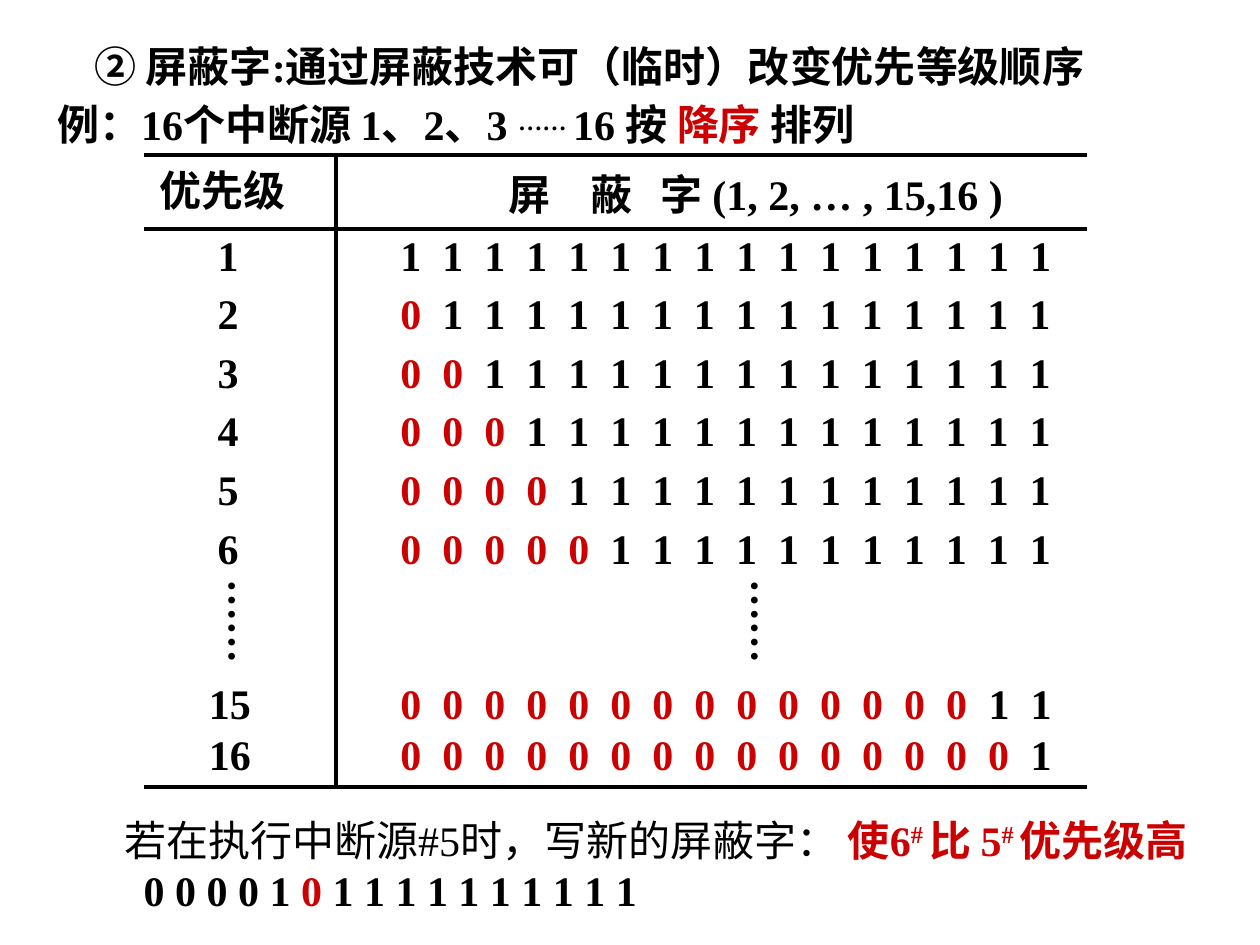
from pptx import Presentation
from pptx.dml.color import RGBColor
from pptx.enum.lang import MSO_LANGUAGE_ID
from pptx.enum.shapes import MSO_CONNECTOR
from pptx.enum.text import MSO_ANCHOR
from pptx.oxml.ns import qn
from pptx.util import Inches, Pt
from lxml.etree import SubElement

COLUMNS, ROWS = 100, 75
BLACK, RED = "000000", "CC0000"
SOURCES = 16


def color(value):
    return RGBColor.from_string(value)


class SlideWriter:
    font = "Times New Roman"
    size = 24
    line_width = 2.25

    def __init__(self, deck):
        self.slide = deck.slides.add_slide(deck.slide_layouts[6])
        self.column = deck.slide_width / COLUMNS
        self.row = deck.slide_height / ROWS

    def place(self, *lengths):
        return [round(length * unit) for length, unit
                in zip(lengths, (self.column, self.row) * 2)]

    def span(self, para, text, fill=BLACK, bold=True, raised=0, spacing=0):
        span = para.add_run()
        span.text = text
        font = span.font
        font.name, font.size, font.bold = self.font, Pt(self.size), bold
        font.language_id = MSO_LANGUAGE_ID.SIMPLIFIED_CHINESE
        font.color.rgb = color(fill)
        properties = span._r.get_or_add_rPr()
        if raised:
            properties.set("baseline", str(raised * 1000))
        if spacing:
            properties.set("spc", str(spacing * 100))

    def text(self, place, spans, inset=(0.1, 0.05), anchor=MSO_ANCHOR.TOP,
             wrap=False, vertical=False):
        box = self.slide.shapes.add_textbox(*self.place(*place))
        frame = box.text_frame
        frame.word_wrap = wrap
        frame.vertical_anchor = anchor
        frame.margin_left = frame.margin_right = Inches(inset[0])
        frame.margin_top = frame.margin_bottom = Inches(inset[1])
        if vertical:
            frame._txBody.bodyPr.set("vert", "eaVert")
        for options in spans:
            self.span(frame.paragraphs[0], **options)

    def caption(self, place, spans):
        self.text(place, spans, inset=(0, 0), anchor=MSO_ANCHOR.MIDDLE)

    def ellipsis(self, left, top):
        self.text((left, top, 6, 7.7), [dict(text="……")],
                  inset=(0.05, 0.1), vertical=True)

    def line(self, *ends):
        line = self.slide.shapes.add_connector(
            MSO_CONNECTOR.STRAIGHT, *self.place(*ends))
        line.line.color.rgb = color(BLACK)
        line.line.width = Pt(self.line_width)
        SubElement(line._element.spPr, qn("a:effectLst"))

    def mask_row(self, level, top):
        left, width = (16.3, 3.6) if level < 10 else (15.6, 5.3)
        self.text((left, top, width, 5), [dict(text=str(level))])
        zeros = " ".join("0" * (level - 1))
        ones = " ".join("1" * (SOURCES + 1 - level))
        spans = [dict(text=ones, spacing=3)]
        if zeros:
            spans = [dict(text=zeros, fill=RED, spacing=3),
                     dict(text=" " + ones, spacing=3)]
        self.text((30.8, top, 55.5, 5), spans)


def main():
    deck = Presentation()
    deck.slide_width, deck.slide_height = Inches(10), Inches(7.5)
    writer = SlideWriter(deck)

    writer.caption((7.5, 2.9, 85, 4.7), [
        dict(text="② 屏蔽字:通过屏蔽技术可（临时）改变优先等级顺序")])
    writer.text((3.55, 7.3, 92.5, 5), [
        dict(text="例：16个中断源 1、2、3 "),
        dict(text="…… ", raised=22),
        dict(text="16 按 "),
        dict(text="降序 ", fill=RED),
        dict(text="排列")], wrap=True)

    writer.text((11.7, 12.6, 12, 5), [dict(text="优先级")])
    writer.text((39.4, 12.9, 43, 5), [
        dict(text="屏"), dict(text=" ", spacing=17),
        dict(text="蔽"), dict(text=" ", spacing=11),
        dict(text="字 (1, 2, … , 15,16 )")])
    for height in (12.3, 18.15, 62.45):
        writer.line(11.4, height, 86.3, height)
    writer.line(26.65, 12.4, 26.65, 62.4)

    for level in range(1, 7):
        writer.mask_row(level, 17.7 + 4.65 * (level - 1))
    for left in (16, 57.5):
        writer.ellipsis(left, 45)
    for level, top in ((15, 53.3), (16, 57.35)):
        writer.mask_row(level, top)

    writer.caption((9.85, 64.3, 68.6, 4.7), [
        dict(text="若在执行中断源#5时，写新的屏蔽字：", bold=False)])
    writer.caption((67.3, 64.3, 32.7, 4.7), [
        dict(text="使6", fill=RED),
        dict(text="# ", fill=RED, raised=30),
        dict(text="比 5", fill=RED),
        dict(text="# ", fill=RED, raised=30),
        dict(text="优先级高", fill=RED)])
    writer.caption((11.4, 68.25, 44.9, 4.7), [
        dict(text="0 0 0 0 1"),
        dict(text=" 0", fill=RED),
        dict(text=" 1" * 10)])

    deck.save("out.pptx")


if __name__ == "__main__":
    main()
